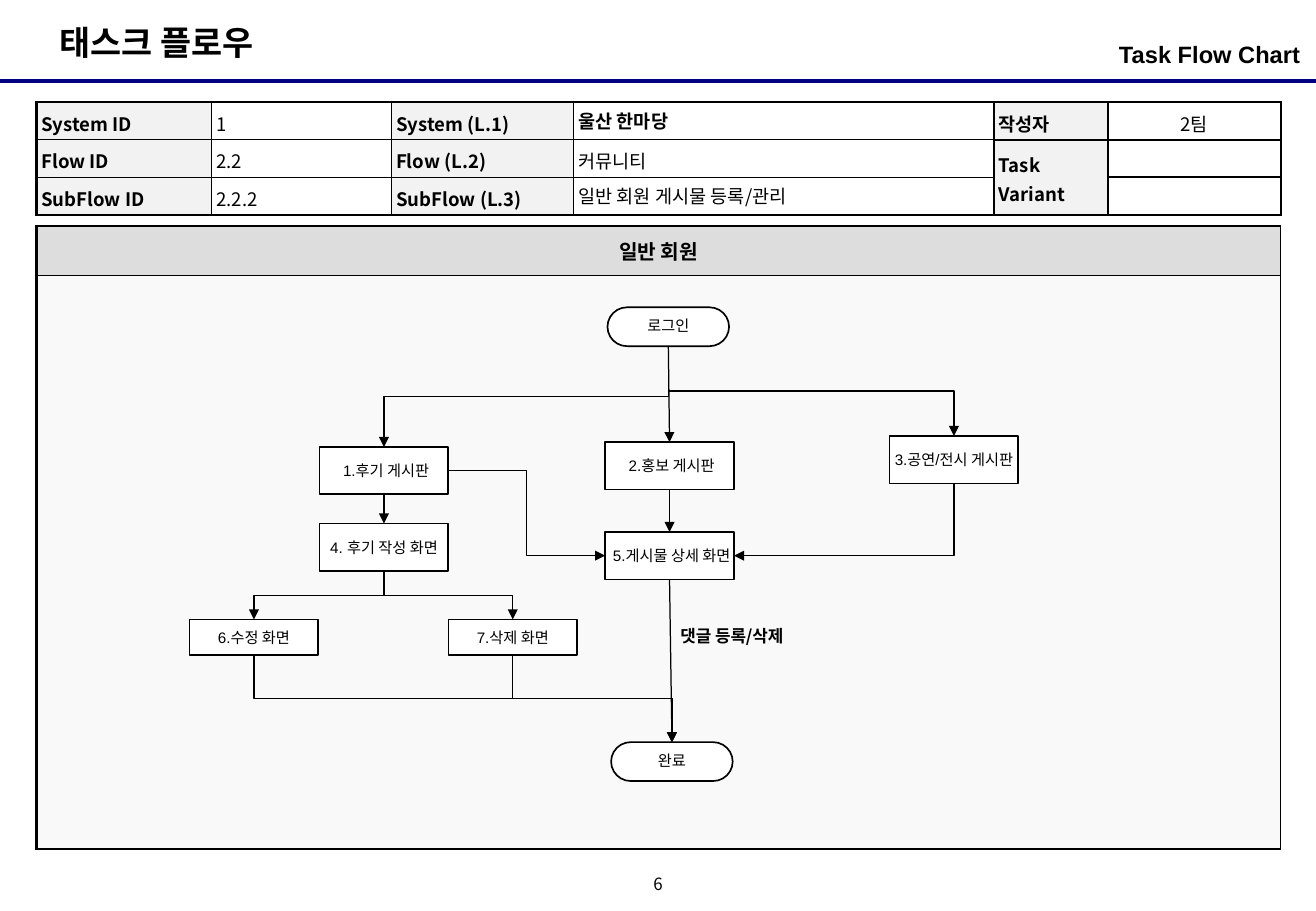
import dataclasses

import lxml.etree
import pptx
import pptx.dml.color
import pptx.enum.shapes
import pptx.enum.text
import pptx.oxml.ns
import pptx.util

SHAPE = pptx.enum.shapes.MSO_SHAPE
CONNECTOR = pptx.enum.shapes.MSO_CONNECTOR
ALIGN = pptx.enum.text.PP_ALIGN
MIDDLE = pptx.enum.text.MSO_ANCHOR.MIDDLE
Pt = pptx.util.Pt
qn = pptx.oxml.ns.qn


@dataclasses.dataclass(frozen=True)
class Theme:
    black: str = "000000"
    white: str = "FFFFFF"
    navy: str = "000080"
    label: str = "F2F2F2"
    band: str = "DDDDDD"
    canvas: str = "F9F9F9"
    sans: str = "Arial"
    korean: str = "Noto Sans CJK KR"
    title: int = 20
    subtitle: int = 14
    heading: int = 12
    body: int = 11
    small: int = 10
    node: int = 9
    thin: float = 0.75
    medium: float = 1
    thick: float = 1.5
    rule: float = 2.25


def rgb(color):
    return pptx.dml.color.RGBColor.from_string(color)


def apply(obj, values):
    for name, value in values.items():
        setattr(obj, name, value)


class FlowSlide:
    """Lengths are columns and rows of a square grid, ten cells to the inch."""

    def __init__(self, prs, theme):
        self.theme = theme
        self.s = prs.slides.add_slide(prs.slide_layouts[6])

    def grid(self, *cells):
        return [pptx.util.Inches(c / 10) for c in cells]

    def fill_text(self, tf, text, size, font=None, bold=False, para=None, frame=None):
        apply(tf, {"word_wrap": True, **(frame or {})})
        p = tf.paragraphs[0]
        apply(p, para or {})
        if not text:
            p._p.get_or_add_endParaRPr().set("sz", str(size * 100))
            return
        r = p.add_run()
        r.text = text
        apply(r.font, {"size": Pt(size), "bold": bold, "name": font or self.theme.korean})
        r.font.color.rgb = rgb(self.theme.black)
        ea = lxml.etree.SubElement(r._r.get_or_add_rPr(), qn("a:ea"))
        ea.set("typeface", self.theme.korean)

    def text(self, box, text, size, **style):
        sp = self.s.shapes.add_textbox(*self.grid(*box))
        self.fill_text(sp.text_frame, text, size, **style)

    def node(self, kind, box, text, para):
        sp = self.s.shapes.add_shape(kind, *self.grid(*box))
        sp.shadow.inherit = False
        sp.fill.solid()
        sp.fill.fore_color.rgb = rgb(self.theme.white)
        sp.line.color.rgb = rgb(self.theme.black)
        sp.line.width = Pt(self.theme.medium)
        left, top, right, bottom = self.grid(0.2, 0, 0.2, 0)
        self.fill_text(sp.text_frame, text, self.theme.node, self.theme.sans, para=para,
                       frame={"margin_left": left, "margin_top": top, "margin_right": right,
                              "margin_bottom": bottom, "vertical_anchor": MIDDLE})
        return sp

    def line(self, kind, ends, color, width, arrow=False):
        cx = self.s.shapes.add_connector(kind, *[int(e) for e in ends])
        cx.line.color.rgb = rgb(color)
        cx.line.width = Pt(width)
        if arrow:
            ln = cx._element.spPr.find(qn("a:ln"))
            lxml.etree.SubElement(ln, qn("a:tailEnd")).set("type", "triangle")
        lxml.etree.SubElement(cx._element.spPr, qn("a:effectLst"))
        return cx

    def arrow(self, start, side, end, end_side):
        def point(sp, where):
            dx, dy = {"top": (0.5, 0), "bottom": (0.5, 1), "left": (0, 0.5), "right": (1, 0.5)}[where]
            return sp.left + sp.width * dx, sp.top + sp.height * dy

        (x1, y1), (x2, y2) = point(start, side), point(end, end_side)
        style = (self.theme.black, self.theme.thin, True)
        if abs(x2 - x1) < self.grid(1)[0]:
            self.line(CONNECTOR.STRAIGHT, (x1, y1, x2, y2), *style)
        elif side == "right":
            self.line(CONNECTOR.ELBOW, (x1, y1, x2, y2), *style)
        else:
            # An elbow that leaves downwards is a sideways one turned about its centre
            mx, my = (x1 + x2) / 2, (y1 + y2) / 2
            w, h = (y2 - y1) / 2, abs(x2 - x1) / 2
            cx = self.line(CONNECTOR.ELBOW, (mx - w, my - h, mx + w, my + h), *style)
            xfrm = cx._element.spPr.find(qn("a:xfrm"))
            xfrm.set("rot", str((90 if x2 < x1 else 270) * 60000))
            if x2 > x1:
                xfrm.set("flipH", "1")
            if end_side == "right":
                cx._element.spPr.find(qn("a:prstGeom")).set("prst", "bentConnector2")

    def table(self, left, top, cols, rows):
        box = self.grid(left, top, sum(cols), sum(rows))
        table = self.s.shapes.add_table(len(rows), len(cols), *box).table
        apply(table, {"first_row": False, "horz_banding": False})
        for col, width in zip(table.columns, self.grid(*cols)):
            col.width = width
        for row, height in zip(table.rows, self.grid(*rows)):
            row.height = height
        return table

    def cell(self, cell, text, size, fill, borders, margin=None, anchor=None, **style):
        tcPr = cell._tc.get_or_add_tcPr()
        for side, width in zip("LRTB", borders):
            ln = lxml.etree.SubElement(tcPr, qn("a:ln" + side), w=str(int(Pt(width))))
            paint = lxml.etree.SubElement(ln, qn("a:solidFill"))
            lxml.etree.SubElement(paint, qn("a:srgbClr")).set("val", self.theme.black)
        cell.fill.solid()
        cell.fill.fore_color.rgb = rgb(fill)
        cell.vertical_anchor = anchor
        if margin:
            apply(cell, {"margin_" + side: self.grid(margin)[0]
                         for side in ("left", "top", "right", "bottom")})
        self.fill_text(cell.text_frame, text, size, **style)


def main():
    t = Theme()
    prs = pptx.Presentation()
    prs.slide_width, prs.slide_height = pptx.util.Inches(10.83), pptx.util.Inches(7.5)
    fs = FlowSlide(prs, t)
    flush = {"margin_left": 0, "margin_right": 0}

    # Heading and page number
    fs.line(CONNECTOR.STRAIGHT, fs.grid(0, 6.7, 108.3, 6.7), t.navy, t.rule)
    fs.text((3.9, 1.3, 19.8, 4.4), "태스크 플로우", t.title, bold=True, frame={"word_wrap": False})
    fs.text((73.9, 2.8, 33.1, 3.9), "Task Flow Chart", t.subtitle, font=t.sans, bold=True,
            para={"alignment": ALIGN.RIGHT, "space_before": Pt(2.8)}, frame=flush)
    fs.text((52.5, 71.7, 3.3, 2.5), "6", t.small,
            para={"alignment": ALIGN.CENTER, "line_spacing": 0.8},
            frame={**flush, "margin_top": 0, "margin_bottom": 0, "vertical_anchor": MIDDLE})

    # Flow area
    area = fs.table(3, 18.6, [102.4], [4.1, 47.2])
    fs.cell(area.cell(0, 0), "일반 회원", t.heading, t.band, (t.thick, t.thin, t.thick, t.thin),
            bold=True, anchor=MIDDLE, para={"alignment": ALIGN.CENTER})
    fs.cell(area.cell(1, 0), "", t.heading, t.canvas, (t.thick, t.thin, t.thin, t.thick))

    # Identification table: labels in every other column
    rows = [
        ["System ID", "1", "System (L.1)", "울산 한마당", "작성자", "2팀"],
        ["Flow ID", "2.2", "Flow (L.2)", "커뮤니티", "Task Variant", ""],
        ["SubFlow ID", "2.2.2", "SubFlow (L.3)", "일반 회원 게시물 등록/관리", "", ""],
    ]
    spaced = {"line_spacing": 1.1, "space_before": Pt(1.1), "space_after": Pt(1.1)}
    ids = fs.table(3, 8.4, [14.4, 14.8, 15, 34.6, 9.4, 14.2], [3.1] * 3)
    ids.cell(1, 4).merge(ids.cell(2, 4))
    for i, row in enumerate(rows):
        for j, text in enumerate(row):
            inner = t.thick if j > 3 else t.medium
            borders = (t.medium if j else t.thick, t.thick if j == 5 else t.medium,
                       inner if i else t.thick, t.thick if i == 2 else inner)
            para = {} if j == 3 and i != 1 else dict(spaced)
            if j == 5:
                para["alignment"] = ALIGN.CENTER
            fs.cell(ids.cell(i, j), text, t.body, t.white if j % 2 else t.label, borders,
                    margin=0.4, bold=j % 2 == 0 or (i, j) == (0, 3),
                    anchor=MIDDLE if j > 3 else None, para=para)

    # Flow steps: ends are 10 by 3.2, screens 10.6 wide
    centre = {"alignment": ALIGN.CENTER}
    ends = {"login": (50, 25.3, "로그인"), "done": (50.3, 61.1, "완료")}
    screens = {
        "review": (26.3, 36.8, 3.9, " 1.후기 게시판"),
        "promo": (49.8, 36.4, 3.9, " 2.홍보 게시판"),
        "show": (73.2, 35.9, 3.9, "3.공연/전시 게시판"),
        "compose": (26.3, 43.1, 3.9, "4. 후기 작성 화면"),
        "detail": (49.8, 43.8, 3.9, " 5.게시물 상세 화면"),
        "edit": (15.6, 51, 2.9, "6.수정 화면"),
        "delete": (36.9, 51, 2.9, "7.삭제 화면"),
    }
    nodes = {}
    for name, (x, y, text) in ends.items():
        nodes[name] = fs.node(SHAPE.FLOWCHART_TERMINATOR, (x, y, 10, 3.2), text,
                              {**centre, "line_spacing": 0.9})
    for name, (x, y, height, text) in screens.items():
        nodes[name] = fs.node(SHAPE.RECTANGLE, (x, y, 10.6, height), text, centre)

    # Arrows between steps
    down = [("login", "review"), ("login", "promo"), ("login", "show"), ("review", "compose"),
            ("compose", "edit"), ("compose", "delete"), ("promo", "detail"), ("detail", "done"),
            ("edit", "done"), ("delete", "done")]
    for a, b in down:
        fs.arrow(nodes[a], "bottom", nodes[b], "top")
    fs.arrow(nodes["review"], "right", nodes["detail"], "left")
    fs.arrow(nodes["show"], "bottom", nodes["detail"], "right")
    fs.text((55, 51, 11.8, 2.7), "댓글 등록/삭제", t.small, bold=True)

    prs.save("out.pptx")


if __name__ == "__main__":
    main()
